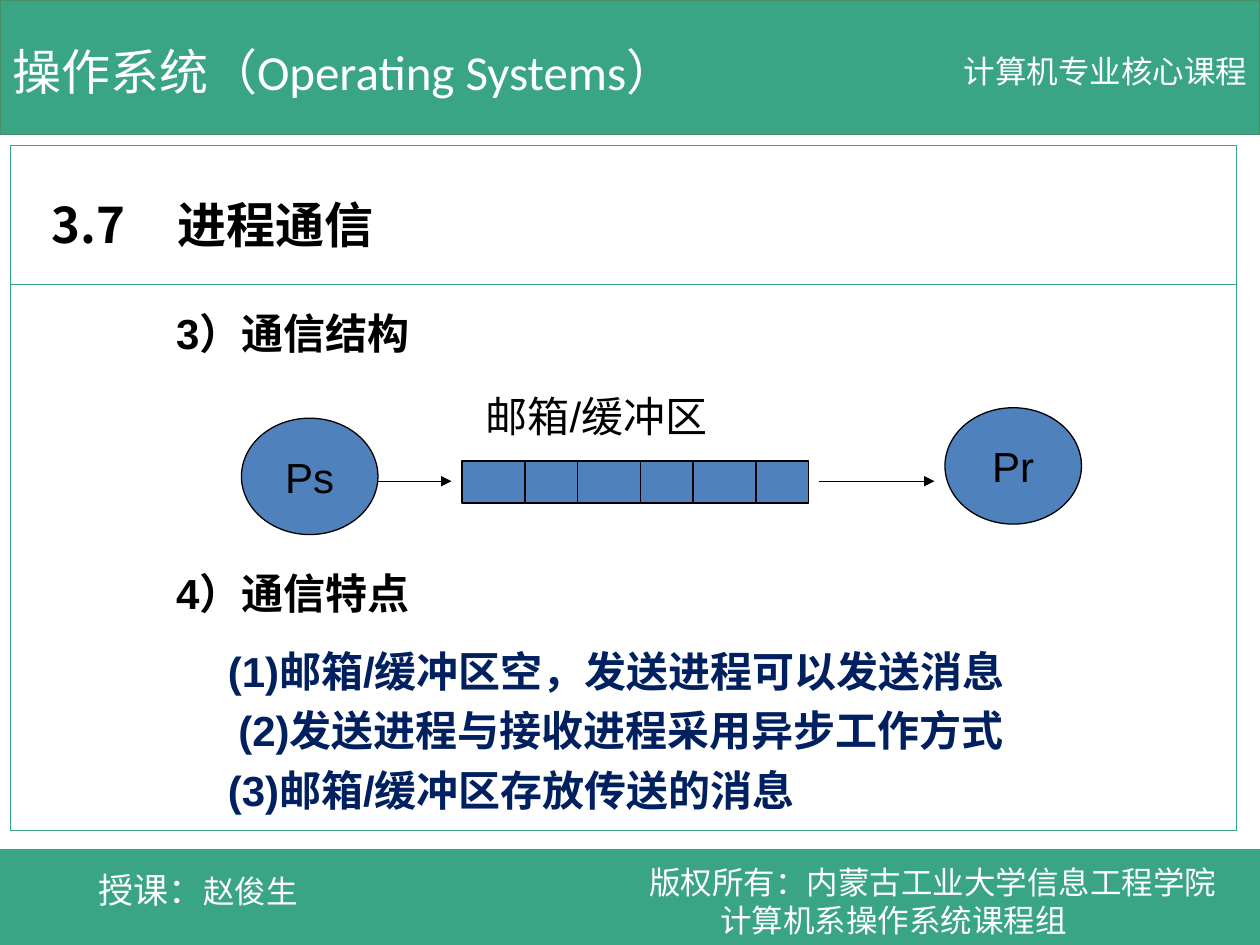
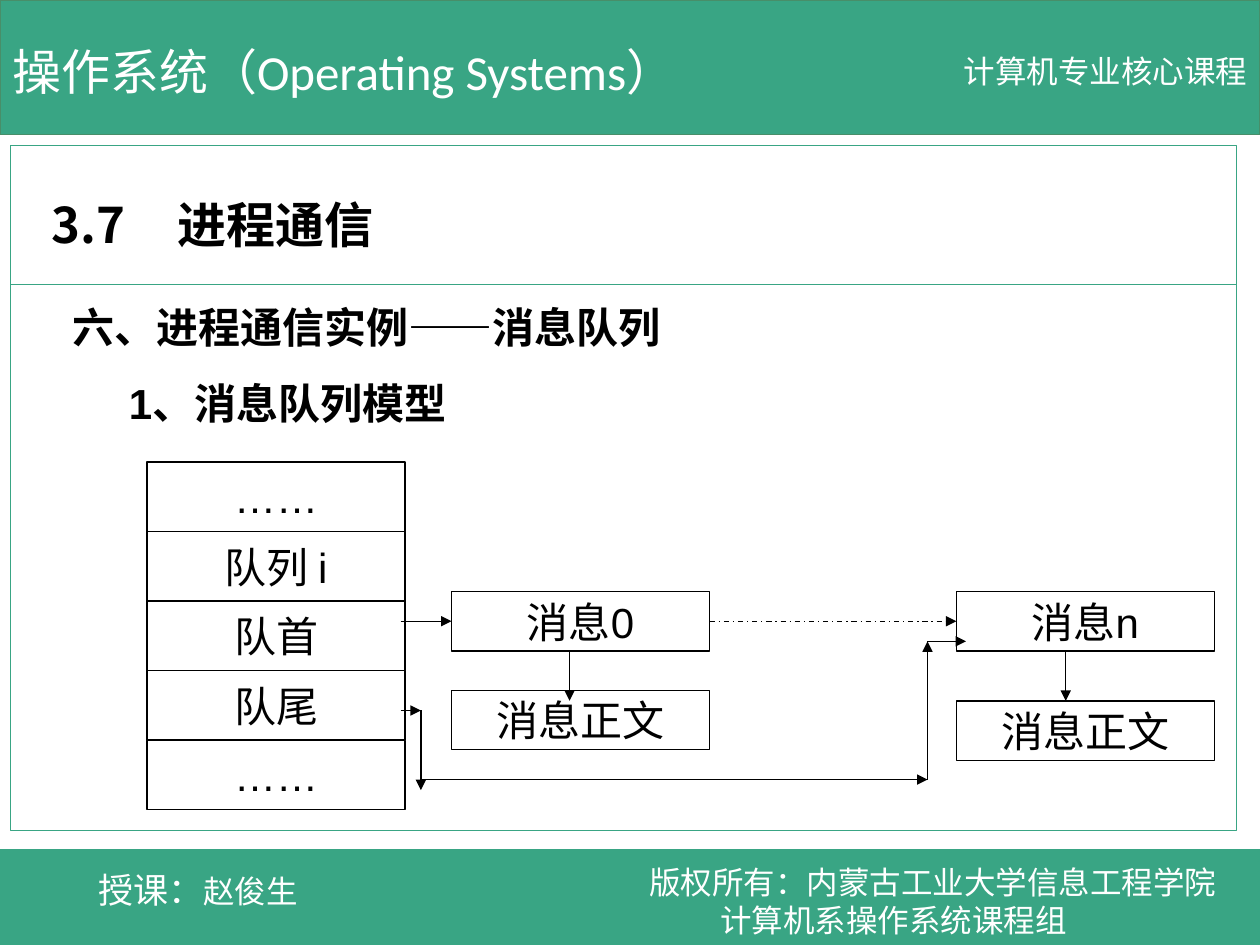
from pptx import Presentation
from pptx.dml.color import RGBColor
from pptx.enum import dml, shapes, text
from pptx.oxml.ns import qn
from pptx.util import Pt
from lxml import etree

GREEN, DARK_GREEN, BLUE, NAVY = "39A584", "488E69", "4F81BD", "002060"
BLACK, WHITE = "000000", "FFFFFF"
CJK_FONT = "Noto Sans CJK SC"


def color(value):
    return RGBColor.from_string(value)


def write(frame, paragraphs, font="Arial", size=24, ink=BLACK, bold=False, wrap=False,
          align="LEFT", anchor="TOP", indents=(), gap=0, spacing=None, tab=None):
    frame.word_wrap = wrap
    frame.auto_size = text.MSO_AUTO_SIZE.NONE
    frame.vertical_anchor = getattr(text.MSO_ANCHOR, anchor)
    for index, content in enumerate(paragraphs):
        para = frame.paragraphs[0] if index == 0 else frame.add_paragraph()
        properties = para._p.get_or_add_pPr()
        properties.set("marL", str(Pt(indents[index] if indents else 0)))
        properties.set("indent", "0")
        etree.SubElement(properties, qn("a:buNone"))
        if tab:
            stops = etree.SubElement(properties, qn("a:tabLst"))
            etree.SubElement(stops, qn("a:tab"), pos=str(Pt(tab)), algn="l")
        para.alignment = getattr(text.PP_ALIGN, align)
        para.space_before = Pt(gap if index else 0)
        if spacing:
            para.line_spacing = Pt(spacing)
        spans = [(content, font, size)] if isinstance(content, str) else content
        for words, face, points in spans:
            span = para.add_run()
            span.text = words
            span.font.name, span.font.size, span.font.bold = face, Pt(points), bold
            span.font.color.rgb = color(ink)
            east_asian = etree.SubElement(span._r.get_or_add_rPr(), qn("a:ea"))
            east_asian.set("typeface", CJK_FONT)


class Lesson:
    """Hold the deck's shared style and draw elements on its current page."""

    def __init__(self):
        self.deck = Presentation()
        self.deck.slide_width, self.deck.slide_height = Pt(720), Pt(540)
        self.page = None

    def add_page(self, body, bounds, **style):
        self.page = self.deck.slides.add_slide(self.deck.slide_layouts[1])
        self.shape(0, 0, 720, 77, fill=GREEN, line=DARK_GREEN)
        self.shape(0, 485.5, 720, 54.5, fill=GREEN, line=GREEN)
        banner = dict(ink=WHITE, anchor="MIDDLE")
        self.label(["操作系统（Operating Systems）"], 0, 20, 417, 41,
                   font="Calibri", size=28, wrap=True, **banner)
        self.label([[("授课：", "Calibri", 20), ("赵俊生", "Arial", 18)]],
                   49, 492.5, 132.5, 31.5, **banner)
        self.label(["版权所有：内蒙古工业大学信息工程学院", "计算机系操作系统课程组"],
                   364, 489.5, 356, 50.5, font=CJK_FONT, size=18, wrap=True,
                   indents=(0, 40.5), **banner)
        self.label(["计算机专业核心课程"], 543.5, 26, 176.5, 29,
                   font="Calibri", size=18, **banner)
        for top, height in ((83, 85), (162.5, 312)):
            self.shape(6, top, 700.5, height, fill=WHITE, line=GREEN)
        title, content = self.page.placeholders
        self.place(title, [[("3.7\t", CJK_FONT, 28), ("进程通信", "Calibri", 28)]],
                   (22.5, 107.5, 345.5, 41), anchor="MIDDLE", tab=62)
        self.place(content, body, bounds, **style)

    def place(self, holder, paragraphs, bounds, **style):
        holder.left, holder.top, holder.width, holder.height = map(Pt, bounds)
        self.page.shapes._spTree.append(holder.element)
        write(holder.text_frame, paragraphs, bold=True, wrap=True, **style)

    def label(self, paragraphs, left, top, width, height, **style):
        box = self.page.shapes.add_textbox(Pt(left), Pt(top), Pt(width), Pt(height))
        write(box.text_frame, paragraphs, **style)

    def shape(self, left, top, width, height, words=None, fill=None, line=BLACK,
              kind="RECTANGLE"):
        shape = self.page.shapes.add_shape(getattr(shapes.MSO_SHAPE, kind),
                                           Pt(left), Pt(top), Pt(width), Pt(height))
        shape.shadow.inherit = False
        if fill:
            shape.fill.solid()
            shape.fill.fore_color.rgb = color(fill)
        else:
            shape.fill.background()
        shape.line.color.rgb, shape.line.width = color(line), Pt(0.75)
        if words:
            write(shape.text_frame, [words], align="CENTER", anchor="MIDDLE")
        return shape

    def arrow(self, start, end, source=None, target=None, dash=None):
        link = self.page.shapes.add_connector(shapes.MSO_CONNECTOR.STRAIGHT,
                                              *map(Pt, (*start, *end)))
        if source:
            link.begin_connect(source, 3)
        if target:
            link.end_connect(target, 1)
        link.line.color.rgb, link.line.width = color(BLACK), Pt(0.75)
        if dash:
            link.line.dash_style = dash
        etree.SubElement(link.line._get_or_add_ln(), qn("a:tailEnd"), type="triangle")
        etree.SubElement(link._element.spPr, qn("a:effectLst"))


def draw_mailbox(lesson):
    features = ["(1)邮箱/缓冲区空，发送进程可以发送消息",
                "(2)发送进程与接收进程采用异步工作方式",
                "(3)邮箱/缓冲区存放传送的消息"]
    lesson.add_page(features, (123, 360, 500, 110), ink=NAVY, indents=(0, 6, 0), spacing=34)
    for heading, top in (("3）通信结构", 172), ("4）通信特点", 320.5)):
        lesson.label([heading], 93.5, top, 153.5, 36, bold=True)
    for process, left, top in (("Ps", 138, 239), ("Pr", 540, 233)):
        lesson.shape(left, top, 78, 66.5, process, fill=BLUE, kind="OVAL")
    left = 264
    for width in (36, 30) * 3:
        lesson.shape(left, 263.5, width, 24, fill=BLUE)
        left += width
    for start, end in ((216, 258), (468, 534)):
        lesson.arrow((start, 275), (end, 275))
    lesson.label(["邮箱/缓冲区"], 270.5, 219.5, 152.5, 36)


def draw_message_queue(lesson):
    headings = ["六、进程通信实例——消息队列", "1、消息队列模型"]
    lesson.add_page(headings, (34, 168.5, 400, 90), indents=(0, 32.5), gap=15)
    width, row_height, message_height = 147.5, 39.75, 34
    for row, words in enumerate(("……", "队列 i", "队首", "队尾", "……")):
        lesson.shape(84, 264 + row * row_height, width, row_height, words)
    messages = []
    for words, left, body_top, link_x in (("消息0", 258, 394.5, 325.5),
                                          ("消息n", 546.5, 400.5, 609)):
        messages.append(lesson.shape(left, 338, width, message_height, words))
        lesson.shape(left, body_top, width, message_height, "消息正文")
        lesson.arrow((link_x, 372), (link_x, 400.5))
    first, last = messages
    lesson.arrow((229, 355), (258, 355), target=first)
    lesson.arrow((405.5, 355), (546.5, 355), source=first, target=last,
                 dash=dml.MSO_LINE.DASH_DOT)
    lesson.arrow((240.5, 406), (240.5, 451.5))
    lesson.arrow((229, 406), (240.5, 406))
    tail_route = [(240.5, 445.5), (530, 445.5), (530, 366.5), (552, 366.5)]
    for start, end in zip(tail_route, tail_route[1:]):
        lesson.arrow(start, end)


def main():
    lesson = Lesson()
    draw_mailbox(lesson)
    draw_message_queue(lesson)
    lesson.deck.save("out.pptx")


if __name__ == "__main__":
    main()
